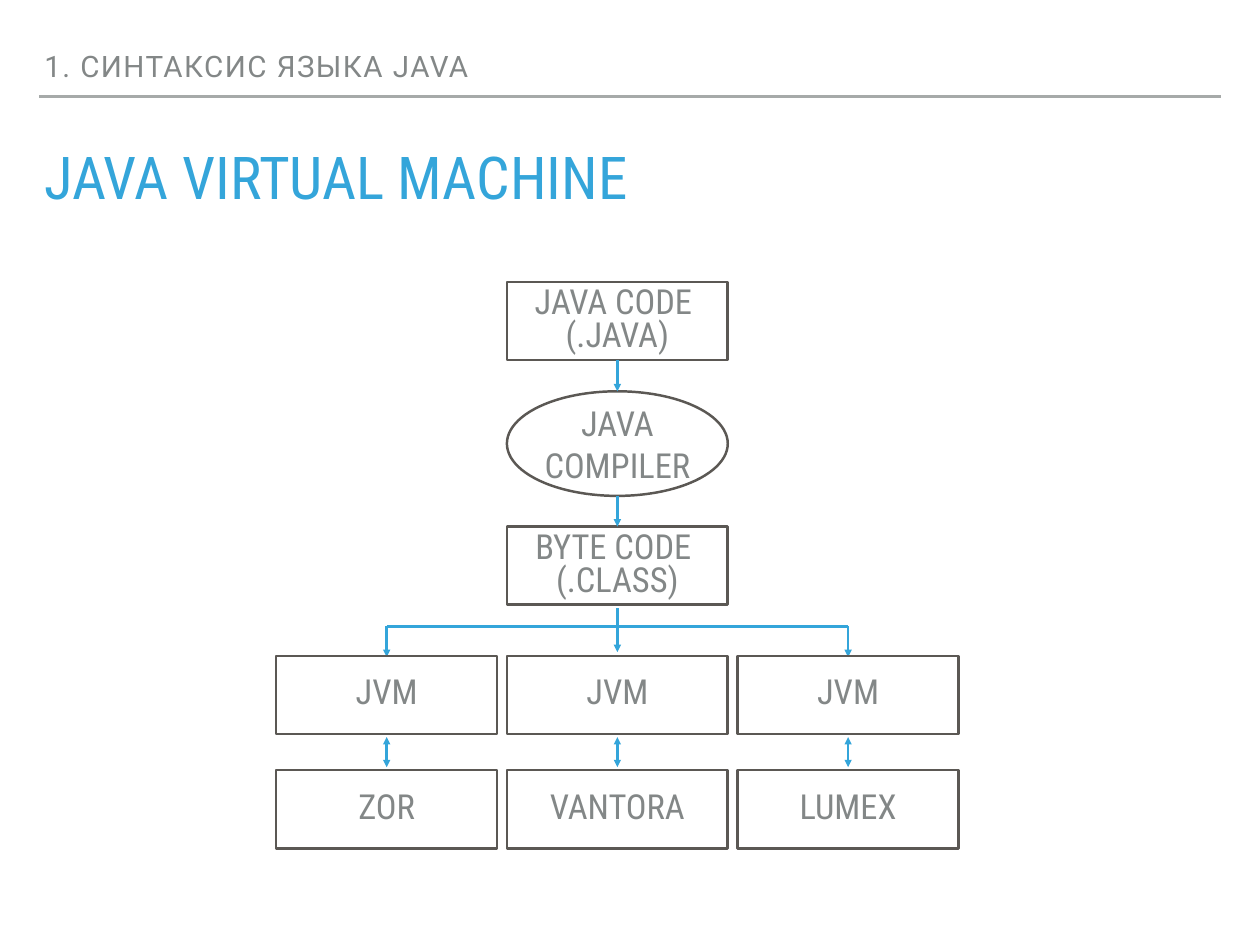
import pptx
import pptx.dml.color
import pptx.enum.shapes
import pptx.enum.text
import pptx.oxml
import pptx.oxml.ns
import pptx.util

COLUMNS, ROWS = 1024, 768
CELL = pptx.util.Pt(1)
GREY, BLUE, OUTLINE, RULE = "838787", "34A5DA", "5B5854", "A6AAA9"
CONDENSED = "Roboto Condensed"
RECTANGLE = pptx.enum.shapes.MSO_SHAPE.RECTANGLE
OVAL = pptx.enum.shapes.MSO_SHAPE.OVAL
TOP = pptx.enum.text.MSO_ANCHOR.TOP
MIDDLE = pptx.enum.text.MSO_ANCHOR.MIDDLE
BOTTOM = pptx.enum.text.MSO_ANCHOR.BOTTOM
LEFT = pptx.enum.text.PP_ALIGN.LEFT
CENTER = pptx.enum.text.PP_ALIGN.CENTER


def cells(*values):
    return [round(value * CELL) for value in values]


def color(target, value):
    target.rgb = pptx.dml.color.RGBColor.from_string(value)


def write(shape, lines, size=28, font=CONDENSED, ink=GREY, align=CENTER,
          anchor=MIDDLE, line_spacing=0.8, before=0, tracking=None):
    frame = shape.text_frame
    frame.word_wrap = True
    frame.vertical_anchor = anchor
    frame.margin_left = frame.margin_right = 4 * CELL
    frame.margin_top = frame.margin_bottom = 4 * CELL
    for index, line in enumerate(lines):
        paragraph = frame.add_paragraph() if index else frame.paragraphs[0]
        paragraph.alignment = align
        paragraph.line_spacing = line_spacing
        paragraph.space_before = pptx.util.Pt(before)
        run = paragraph.add_run()
        run.text = line
        run.font.size = pptx.util.Pt(size)
        run.font.name = font
        color(run.font.color, ink)
        if tracking:
            run.font._element.set("spc", str(tracking))


def add_text(slide, box, text, **formatting):
    write(slide.shapes.add_textbox(*cells(*box)), [text], **formatting)


def add_node(slide, box, lines, kind=RECTANGLE, **formatting):
    shape = slide.shapes.add_shape(kind, *cells(*box))
    shape.shadow.inherit = False
    shape.fill.background()
    color(shape.line.color, OUTLINE)
    shape.line.width = pptx.util.Pt(2)
    write(shape, lines, **formatting)


def add_line(slide, start, end, ink=BLUE, arrows=()):
    connector = slide.shapes.add_connector(
        pptx.enum.shapes.MSO_CONNECTOR.STRAIGHT, *cells(*start, *end))
    color(connector.line.color, ink)
    connector.line.width = pptx.util.Pt(2)
    stroke = connector.line._get_or_add_ln()
    for arrow in arrows:
        tip = pptx.oxml.parse_xml(f"<a:{arrow} {pptx.oxml.ns.nsdecls('a')}/>")
        tip.set("type", "triangle")
        stroke.append(tip)
    connector._element.spPr.append(
        pptx.oxml.parse_xml(f"<a:effectLst {pptx.oxml.ns.nsdecls('a')}/>"))


def draw_heading(slide, box):
    left, top, width, height = box
    add_text(slide, (left, top, 880, 36), "1. СИНТАКСИС ЯЗЫКА JAVA", size=24,
             font="Roboto", align=LEFT, anchor=BOTTOM, tracking=120)
    add_line(slide, (left, top + 42.5), (left + width, top + 42.5), ink=RULE)
    add_text(slide, (left, top + height - 57, width, 57), "JAVA VIRTUAL MACHINE",
             size=48, ink=BLUE, align=LEFT, anchor=TOP, before=22)


def draw_diagram(slide, box):
    left, top, width, height = box
    gap, node_height, oval_height = 8, 63.5, 85
    node_width = (width - 2 * gap) / 3
    lefts = [left + column * (node_width + gap) for column in range(3)]
    centers = [node_left + node_width / 2 for node_left in lefts]
    middle = centers[1]
    compiler_top, bytecode_top, machine_top = top + 89, top + 199, top + 304
    system_top = top + height - node_height

    add_node(slide, (lefts[1], top, node_width, node_height),
             ["JAVA CODE ", "(.JAVA)"])
    add_node(slide, (lefts[1], compiler_top, node_width, oval_height),
             ["JAVA COMPILER"], kind=OVAL, line_spacing=pptx.util.Pt(34))
    add_node(slide, (lefts[1], bytecode_top, node_width, node_height),
             ["BYTE CODE ", "(.CLASS)"])

    down, both = ["tailEnd"], ["headEnd", "tailEnd"]
    branch = machine_top - 24
    for start, end in ((top + node_height, compiler_top),
                       (compiler_top + oval_height, bytecode_top),
                       (bytecode_top + node_height + 3, machine_top - 3)):
        add_line(slide, (middle, start), (middle, end), arrows=down)
    add_line(slide, (centers[0], branch), (centers[2], branch))
    for center in (centers[0], centers[2]):
        add_line(slide, (center, branch), (center, machine_top + 1), arrows=down)

    for node_left, center, system in zip(lefts, centers, ("ZOR", "VANTORA", "LUMEX")):
        add_node(slide, (node_left, machine_top, node_width, node_height), ["JVM"])
        add_node(slide, (node_left, system_top, node_width, node_height), [system])
        add_line(slide, (center, machine_top + node_height + 2.5),
                 (center, system_top - 2.5), arrows=both)


def main():
    presentation = pptx.Presentation()
    presentation.slide_width, presentation.slide_height = cells(COLUMNS, ROWS)
    slide = presentation.slides.add_slide(presentation.slide_layouts[6])
    draw_heading(slide, (32, 36, 960, 142))
    draw_diagram(slide, (224.5, 229, 554.5, 460.5))
    presentation.save("out.pptx")


if __name__ == "__main__":
    main()
